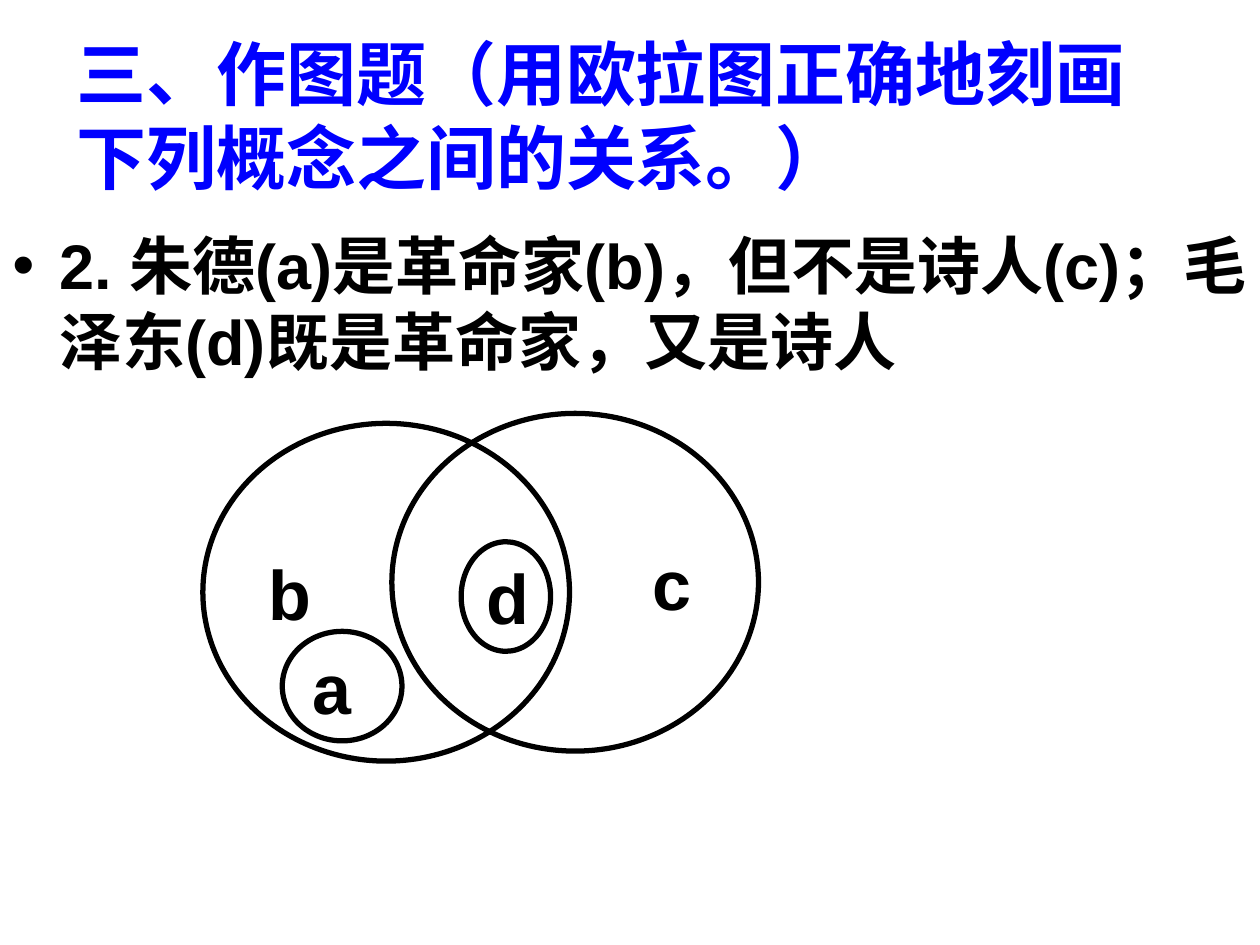
from dataclasses import dataclass

from lxml import etree
from pptx import Presentation
from pptx.dml.color import RGBColor
from pptx.enum.shapes import MSO_SHAPE
from pptx.enum.text import MSO_ANCHOR, PP_ALIGN
from pptx.oxml.ns import qn
from pptx.util import Pt

OVAL = MSO_SHAPE.OVAL
LEFT = PP_ALIGN.LEFT
TOP = MSO_ANCHOR.TOP
MIDDLE = MSO_ANCHOR.MIDDLE


@dataclass(frozen=True)
class Theme:
    font: str = "Arial"
    title_color: RGBColor = RGBColor(0x00, 0x00, 0xFF)
    ink: RGBColor = RGBColor(0x00, 0x00, 0x00)
    title_size: int = 40
    body_size: int = 36
    label_size: int = 40
    outline: int = 3
    inset_x: float = 7.2
    inset_y: float = 3.6


THEME = Theme()


def write(shape, text, size, color, anchor, wrap=True):
    tf = shape.text_frame
    tf.word_wrap = wrap
    tf.vertical_anchor = anchor
    tf.margin_left = tf.margin_right = Pt(THEME.inset_x)
    tf.margin_top = tf.margin_bottom = Pt(THEME.inset_y)
    p = tf.paragraphs[0]
    p.alignment = LEFT
    r = p.add_run()
    r.text = text
    r.font.name = THEME.font
    r.font.size = Pt(size)
    r.font.bold = True
    r.font.color.rgb = color
    return p


def add_bullet(p, indent):
    pPr = p._p.get_or_add_pPr()
    pPr.set("marL", str(Pt(indent)))
    pPr.set("indent", str(Pt(-indent)))
    etree.SubElement(pPr, qn("a:buFont")).set("typeface", THEME.font)
    etree.SubElement(pPr, qn("a:buChar")).set("char", "•")


def add_title(s, box, text):
    tb = s.shapes.add_textbox(*map(Pt, box))
    write(tb, text, THEME.title_size, THEME.title_color, MIDDLE)


def add_body(s, box, text):
    tb = s.shapes.add_textbox(*map(Pt, box))
    p = write(tb, text, THEME.body_size, THEME.ink, TOP)
    add_bullet(p, 27)


def add_set(s, box, label, label_shift=0):
    sp = s.shapes.add_shape(OVAL, *map(Pt, box))
    sp.shadow.inherit = False
    sp.fill.background()
    sp.line.color.rgb = THEME.ink
    sp.line.width = Pt(THEME.outline)
    write(sp, label, THEME.label_size, THEME.ink, MIDDLE, wrap=False)
    sp.text_frame.margin_left = Pt(THEME.inset_x + label_shift)


def add_euler_diagram(s, box):
    x, y, w, h = box
    big_w, big_h = 209.5, 193
    small_h = 62.6
    add_set(s, (x + 45.4, y + 124.6, 68.4, small_h), "a")
    add_set(s, (x, y + h - big_h, big_w, big_h), "b")
    add_set(s, (x + w - big_w, y, big_w, big_h), "c", label_shift=111)
    add_set(s, (x + 147.6, y + 73.4, 51.1, small_h), "d")


def main():
    prs = Presentation()
    prs.slide_width, prs.slide_height = Pt(720), Pt(540)
    s = prs.slides.add_slide(prs.slide_layouts[6])
    add_title(s, (36.7, 20.2, 648, 90), "三、作图题（用欧拉图正确地刻画下列概念之间的关系。）")
    add_body(
        s,
        (0, 126, 720, 414),
        "2. 朱德(a)是革命家(b)，但不是诗人(c)；毛泽东(d)既是革命家，又是诗人",
    )
    add_euler_diagram(s, (115.9, 236.2, 317.5, 198.7))
    prs.save("out.pptx")


if __name__ == "__main__":
    main()
